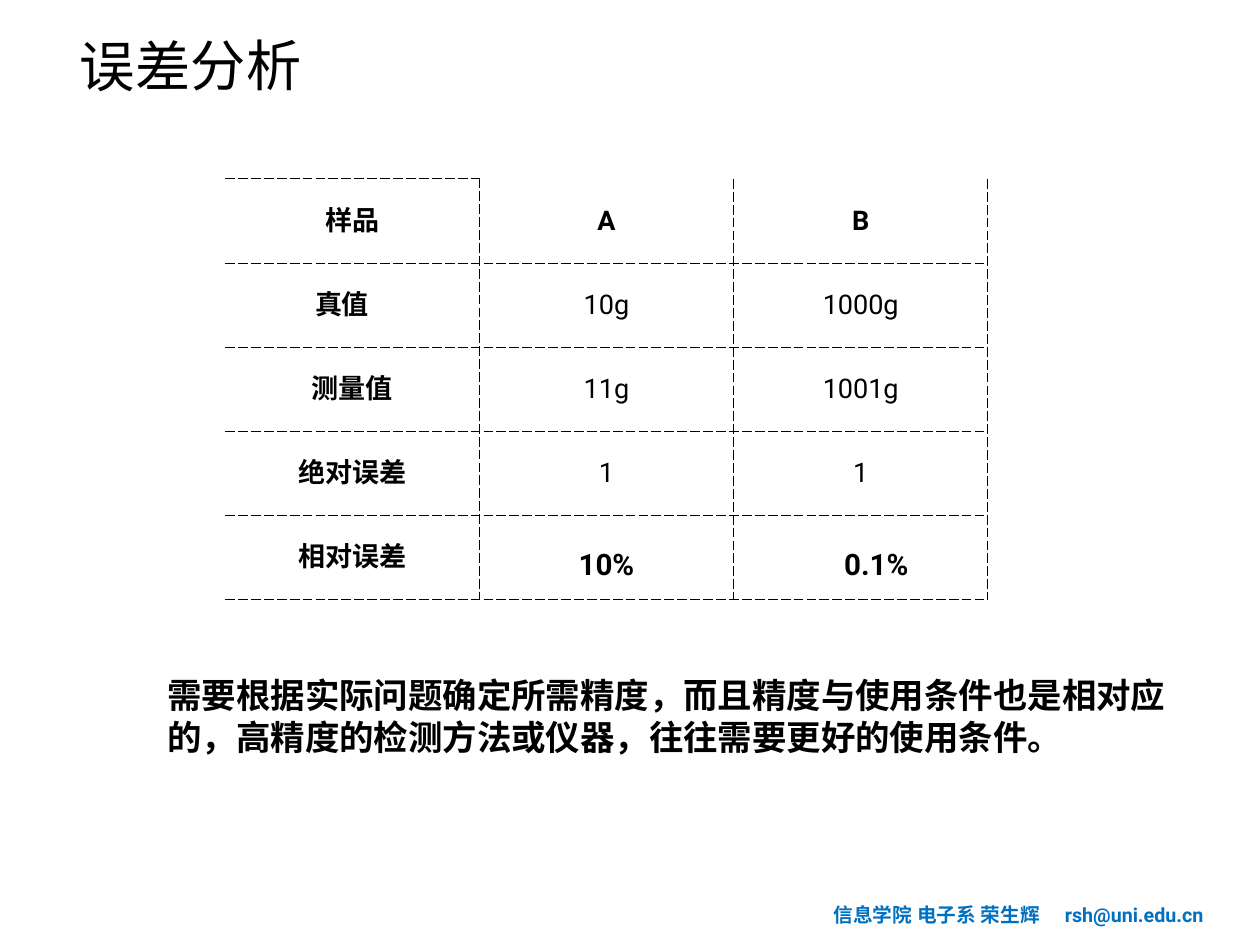
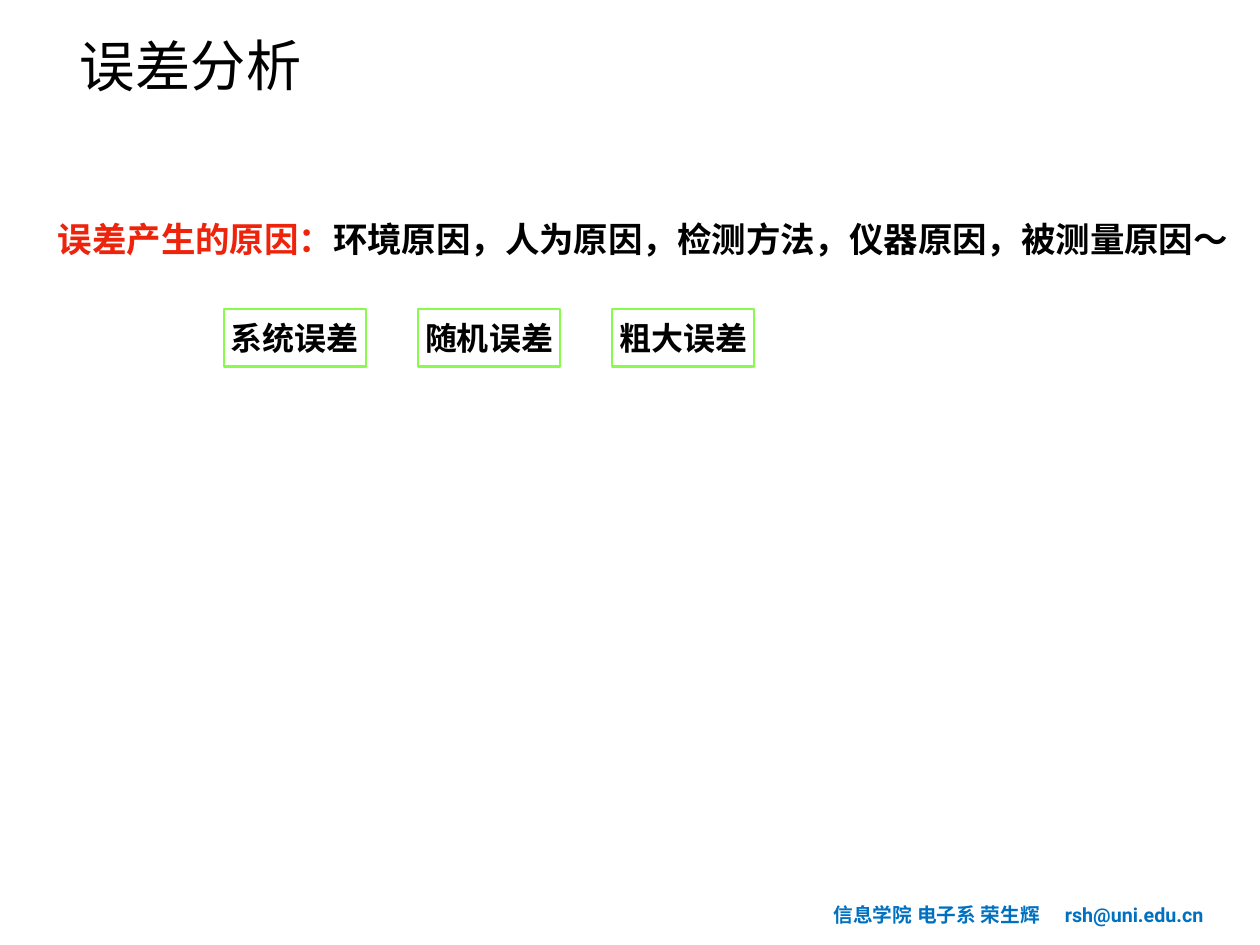
from lxml import etree
from pptx import Presentation
from pptx.dml.color import RGBColor
from pptx.enum import shapes, text
from pptx.oxml import ns
from pptx.util import Inches, Pt

BLACK = RGBColor(0x00, 0x00, 0x00)
BLUE = RGBColor(0x00, 0x70, 0xC0)
RED = RGBColor(0xEE, 0x23, 0x0C)
GREEN = RGBColor(0x89, 0xFA, 0x4E)
LATIN, CJK = "Roboto", "Noto Sans CJK SC"
MARGINS = ("margin_left", "margin_right", "margin_top", "margin_bottom")
CENTER, LEFT = text.PP_ALIGN.CENTER, text.PP_ALIGN.LEFT


def add_node(parent, tag, **attributes):
    return etree.SubElement(parent, ns.qn(tag), attributes)


class Lesson:
    """Holds the deck style and the current page."""

    def __init__(self):
        self.deck = Presentation()
        self.deck.slide_width = Inches(14.22)
        self.deck.slide_height = Inches(10.67)
        self.page = None

    def new_page(self):
        self.page = self.deck.slides.add_slide(self.deck.slide_layouts[6])
        # Footer: author, then address at a tab stop
        para = self.label((9.35, 10.14, 4.77, 0.38),
                          [("信息学院 电子系 荣生辉\trsh@uni.edu.cn", BLUE)],
                          size=16, align=LEFT, wrap=True)
        tabs = add_node(para._p.get_or_add_pPr(), "a:tabLst")
        add_node(tabs, "a:tab", pos=str(Inches(2.61)), algn="l")

    def title(self, words):
        area = (0.84, 0.12, 4.84, 1.2)
        box = self.page.shapes.add_textbox(*map(Inches, area))
        box.rotation = 359.6
        self.fill_frame(box.text_frame, [(words, BLACK)], size=45, font=CJK,
                        bold=False, align=LEFT, wrap=True)

    def fill_frame(self, frame, spans, size, font=LATIN, bold=True,
                   align=CENTER, wrap=False):
        layout = {"word_wrap": wrap, "vertical_anchor": text.MSO_ANCHOR.MIDDLE,
                  **dict.fromkeys(MARGINS, Inches(0.06))}
        for name, value in layout.items():
            setattr(frame, name, value)
        return self.fill_para(frame.paragraphs[0], spans, size, font, bold,
                              align)

    def fill_para(self, para, spans, size, font=LATIN, bold=True,
                  align=CENTER):
        para.alignment = align
        for words, color in spans:
            span = para.add_run()
            span.text = words
            style = {"size": Pt(size), "name": font, "bold": bold}
            for name, value in style.items():
                setattr(span.font, name, value)
            span.font.color.rgb = color
            add_node(span._r.get_or_add_rPr(), "a:ea", typeface=font)
        return para

    def label(self, area, spans, size, **style):
        box = self.page.shapes.add_textbox(*map(Inches, area))
        return self.fill_frame(box.text_frame, spans, size, **style)

    def framed(self, area, words):
        box = self.page.shapes.add_shape(shapes.MSO_SHAPE.RECTANGLE,
                                         *map(Inches, area))
        box.shadow.inherit = False
        box.fill.background()
        box.line.color.rgb = GREEN
        box.line.width = Pt(2)
        self.fill_frame(box.text_frame, [(words, BLACK)], size=26)

    def borders(self, cell, drawn):
        properties = cell._tc.get_or_add_tcPr()
        for side in "LRTB":
            line = add_node(properties, f"a:ln{side}", w=str(Pt(1)))
            if side in drawn:
                fill = add_node(line, "a:solidFill")
                add_node(fill, "a:srgbClr", val=str(BLACK))
                add_node(line, "a:prstDash", val="lgDash")
            else:
                add_node(line, "a:noFill")

    def table(self, left, top, column_width, row_height, rows):
        count = len(rows[0])
        grid = self.page.shapes.add_table(
            len(rows), count, Inches(left), Inches(top),
            Inches(column_width * count), Inches(row_height * len(rows))).table
        grid.first_row = grid.horz_banding = False
        for column in grid.columns:
            column.width = Inches(column_width)
        for r, row in enumerate(rows):
            grid.rows[r].height = Inches(row_height)
            for c, words in enumerate(row):
                cell = grid.cell(r, c)
                for name in MARGINS:
                    setattr(cell, name, Inches(0.06))
                cell.vertical_anchor = text.MSO_ANCHOR.MIDDLE
                # Open on the left, and on top beyond the first column
                self.borders(cell, "RB" + "L" * (c > 0)
                             + "T" * (r > 0 or c == 0))
                cell.fill.background()
                if words:
                    self.fill_para(cell.text_frame.paragraphs[0],
                                   [(words, BLACK)], size=22,
                                   bold=r == 0 or c == 0)
        return grid


def main():
    lesson = Lesson()

    # Page 1: absolute and relative error
    lesson.new_page()
    grid = lesson.table(2.54, 2.02, 2.87, 0.95, [
        ("样品", "A", "B"),
        ("真值", "10g", "1000g"),
        ("测量值", "11g", "1001g"),
        ("绝对误差", "1", "1"),
        ("相对误差", "", ""),
    ])
    grid.cell(1, 0).margin_right = Inches(0.29)
    for left, width, percent in ((6.43, 0.83, "10%"), (9.43, 0.92, "0.1%")):
        lesson.label((left, 6.11, width, 0.5), [(percent, BLACK)], size=24)
    lesson.label((1.83, 7.47, 11.5, 1.22), [(
        "需要根据实际问题确定所需精度，而且精度与使用条件也是相对应的，"
        "高精度的检测方法或仪器，往往需要更好的使用条件。", BLACK)],
        size=28, align=LEFT, wrap=True)
    lesson.title("误差分析")

    # Page 2: causes and kinds of error
    lesson.new_page()
    lesson.label((0.58, 2.36, 13.35, 0.67), [
        ("误差产生的原因：", RED),
        ("环境原因，人为原因，检测方法，仪器原因，被测量原因～", BLACK)], size=28)
    for i, kind in enumerate(("系统误差", "随机误差", "粗大误差")):
        lesson.framed((2.53 + 2.19 * i, 3.49, 1.6, 0.65), kind)
    lesson.title("误差分析")

    lesson.deck.save("out.pptx")


if __name__ == "__main__":
    main()
